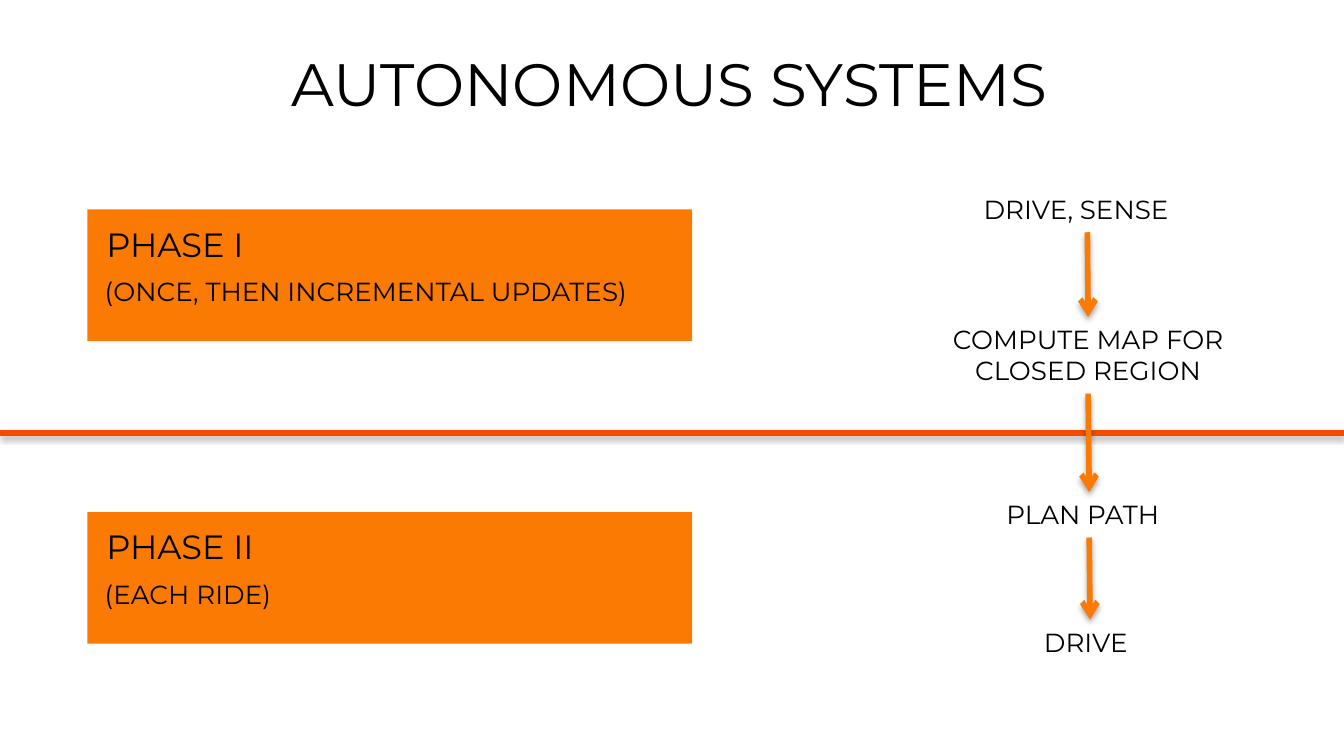
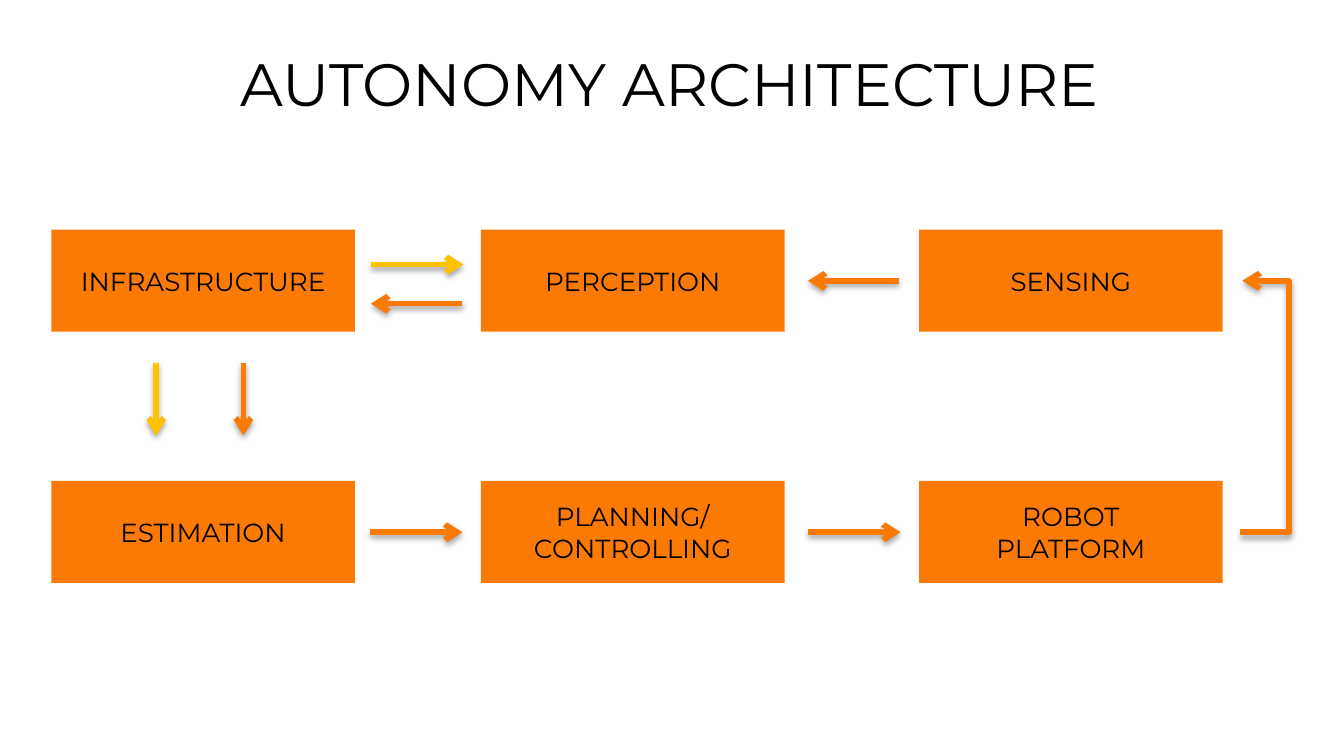
"""Builds two slides on autonomous systems: the phases and the architecture."""
from dataclasses import dataclass

from lxml import etree
from pptx import Presentation
from pptx.dml.color import RGBColor
from pptx.enum.shapes import MSO_CONNECTOR, MSO_SHAPE
from pptx.enum.text import MSO_ANCHOR, MSO_AUTO_SIZE, PP_ALIGN
from pptx.oxml import parse_xml
from pptx.oxml.ns import nsdecls, qn
from pptx.util import Cm, Pt

RECT = MSO_SHAPE.RECTANGLE
STRAIGHT, ELBOW = MSO_CONNECTOR.STRAIGHT, MSO_CONNECTOR.ELBOW
LEFT, CENTER = PP_ALIGN.LEFT, PP_ALIGN.CENTER
TOP, MIDDLE = MSO_ANCHOR.TOP, MSO_ANCHOR.MIDDLE
FIT = MSO_AUTO_SIZE.SHAPE_TO_FIT_TEXT
BOTTOM_SITE, TOP_SITE = 2, 0


@dataclass(frozen=True)
class Theme:
    font: str = "Montserrat"
    text: RGBColor = RGBColor(0, 0, 0)
    orange: RGBColor = RGBColor(0xFA, 0x7A, 0x04)
    red: RGBColor = RGBColor(0xF8, 0x49, 0x01)
    yellow: RGBColor = RGBColor(0xFF, 0xC1, 0x00)
    title_size: Pt = Pt(32)
    phase_size: Pt = Pt(18)
    body_size: Pt = Pt(14)
    line_width: Pt = Pt(3)


THEME = Theme()
SLIDE_W, SLIDE_H = 25.4, 14.29
SHADOW = (
    f'<a:effectLst {nsdecls("a")}>'
    '<a:outerShdw blurRad="40000" dist="23000" dir="5400000" rotWithShape="0">'
    '<a:srgbClr val="000000"><a:alpha val="35000"/></a:srgbClr>'
    '</a:outerShdw></a:effectLst>'
)


def write(tf, text, size, align):
    for i, line in enumerate(text.split("\n")):
        p = tf.paragraphs[0] if i == 0 else tf.add_paragraph()
        p.text = line
        p.alignment = align
        p.font.name = THEME.font
        p.font.size = size
        p.font.color.rgb = THEME.text


def add_plain_text(s, text, x, y, w, h, size, align=LEFT):
    tf = s.shapes.add_textbox(Cm(x), Cm(y), Cm(w), Cm(h)).text_frame
    tf.word_wrap = True
    tf.vertical_anchor = TOP
    tf.margin_left = tf.margin_right = tf.margin_top = tf.margin_bottom = 0
    write(tf, text, size, align)
    return tf


def add_label(s, text, x, y, w, h, align=LEFT):
    sp = s.shapes.add_textbox(Cm(x), Cm(y), Cm(w), Cm(h))
    tf = sp.text_frame
    tf.word_wrap = False
    tf.auto_size = FIT
    write(tf, text, THEME.body_size, align)
    return sp


def add_box(s, x, y, w, h, text=""):
    sp = s.shapes.add_shape(RECT, Cm(x), Cm(y), Cm(w), Cm(h))
    sp.shadow.inherit = False
    sp.fill.solid()
    sp.fill.fore_color.rgb = THEME.orange
    sp.line.fill.background()
    if text:
        sp.text_frame.vertical_anchor = MIDDLE
        write(sp.text_frame, text, THEME.body_size, CENTER)


def add_line(s, start, end, color=THEME.orange, arrow=True, kind=STRAIGHT):
    line = s.shapes.add_connector(kind, *(Cm(v) for v in (*start, *end)))
    line.line.color.rgb = color
    line.line.width = THEME.line_width
    if arrow:
        etree.SubElement(line.line._get_or_add_ln(), qn("a:tailEnd"), type="arrow")
    line._element.spPr.append(parse_xml(SHADOW))
    return line


def add_bent_arrow(s, start, end, bend_x):
    line = add_line(s, start, end, kind=ELBOW)
    ratio = (bend_x - start[0]) / (end[0] - start[0])
    guides = line._element.spPr.find(qn("a:prstGeom")).get_or_add_avLst()
    etree.SubElement(guides, qn("a:gd"), name="adj1", fmla=f"val {round(ratio * 100000)}")


def add_slide(prs, title):
    s = prs.slides.add_slide(prs.slide_layouts[6])
    tf = add_plain_text(s, title, 1.6, 1.14, 22.12, 1.3, THEME.title_size, CENTER)
    tf.paragraphs[0].line_spacing = 0.8
    return s


def add_phase(s, y, name, note, note_w):
    add_box(s, 1.65, y, 11.43, 2.49)
    add_plain_text(s, name, 2.01, y + 0.27, 4.85, 0.97, THEME.phase_size)
    add_label(s, note, 1.73, y + 1.13, note_w, 0.86)


def build_phases(prs):
    s = add_slide(prs, "AUTONOMOUS SYSTEMS")
    add_phase(s, 3.96, "PHASE I", "(ONCE, THEN INCREMENTAL UPDATES)", 11.3)
    add_phase(s, 9.68, "PHASE II", "(EACH RIDE)", 3.94)
    add_line(s, (0, 8.18), (SLIDE_W, 8.18), THEME.red, arrow=False)
    steps = [
        add_label(s, "DRIVE, SENSE", 18.34, 3.53, 4.42, 0.86),
        add_label(s, "COMPUTE MAP FOR\nCLOSED REGION", 17.58, 5.99, 5.97, 1.45, CENTER),
        add_label(s, "PLAN PATH", 18.77, 9.3, 3.63, 0.86),
        add_label(s, "DRIVE", 19.48, 11.71, 2.24, 0.86),
    ]
    for above, below in zip(steps, steps[1:]):
        arrow = add_line(s, (0, 0), (0, 0))
        arrow.begin_connect(above, BOTTOM_SITE)
        arrow.end_connect(below, TOP_SITE)


def build_architecture(prs):
    s = add_slide(prs, "AUTONOMY ARCHITECTURE")
    columns = (0.97, 9.09, 17.37)
    rows = {
        4.34: ("INFRASTRUCTURE", "PERCEPTION", "SENSING"),
        9.09: ("ESTIMATION", "PLANNING/\nCONTROLLING", "ROBOT\nPLATFORM"),
    }
    for y, names in rows.items():
        for x, name in zip(columns, names):
            add_box(s, x, y, 5.74, 1.93, name)

    upper_y, lower_y = 5.31, 10.06
    add_line(s, (7.01, 5), (8.76, 5), THEME.yellow)
    add_line(s, (8.74, 5.74), (7.01, 5.74))
    add_line(s, (16.99, upper_y), (15.27, upper_y))
    for x in (6.99, 15.27):
        add_line(s, (x, lower_y), (x + 1.75, lower_y))
    for x, color in ((2.95, THEME.yellow), (4.6, THEME.orange)):
        add_line(s, (x, 6.86), (x, 8.23), color)
    add_bent_arrow(s, (23.44, lower_y), (23.48, upper_y), 24.36)


def main():
    prs = Presentation()
    prs.slide_width, prs.slide_height = Cm(SLIDE_W), Cm(SLIDE_H)
    build_phases(prs)
    build_architecture(prs)
    prs.save("out.pptx")


if __name__ == "__main__":
    main()
